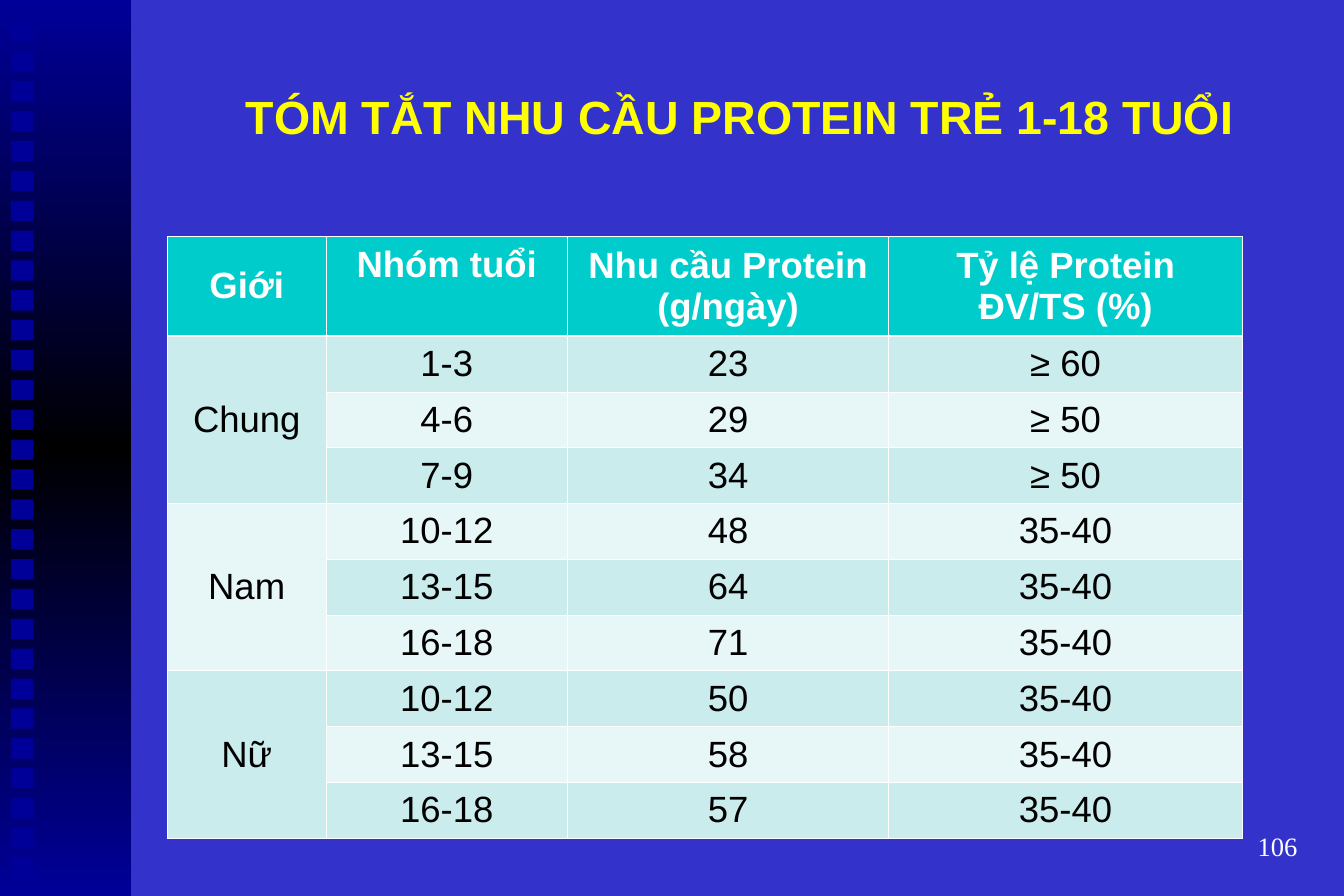
from copy import deepcopy

from lxml import etree
from pptx import Presentation, util as u
from pptx.dml.color import RGBColor
from pptx.enum import shapes, text
from pptx.oxml.ns import qn

PX = 9144
COLORS = {"bg": "3333CC", "navy": "000099", "black": "000000", "title": "FFFF00",
          "white": "FFFFFF", "head": "00CCCC", "odd": "CBECEC", "even": "E7F6F6"}
HEADERS = ["Giới", "Nhóm tuổi", "Nhu cầu Protein (g/ngày)", "Tỷ lệ Protein ĐV/TS (%)"]
GROUPS = [
    ("Chung", [("1-3", "23", "≥ 60"), ("4-6", "29", "≥ 50"), ("7-9", "34", "≥ 50")]),
    ("Nam", [("10-12", "48", "35-40"), ("13-15", "64", "35-40"), ("16-18", "71", "35-40")]),
    ("Nữ", [("10-12", "50", "35-40"), ("13-15", "58", "35-40"), ("16-18", "57", "35-40")]),
]


def px(n):
    """Turn px into EMU."""
    return u.Emu(round(n * PX))


def rgb(name):
    """Look up a colour by name."""
    return RGBColor.from_string(COLORS[name])


def write(tf, words, size, color, align, font="Arial", bold=False):
    """Write one styled paragraph into a text frame."""
    p = tf.paragraphs[0]
    p.text, p.alignment = words, align
    f = p.font
    f.name, f.size, f.bold = font, u.Pt(size), bold
    f.color.rgb = rgb(color)


def add_rect(s, x, y, w, h):
    """Add a plain navy rectangle."""
    sp = s.shapes.add_shape(shapes.MSO_SHAPE.RECTANGLE, px(x), px(y), px(w), px(h))
    sp.shadow.inherit = False
    sp.fill.solid()
    sp.fill.fore_color.rgb = rgb("navy")
    sp.line.fill.background()
    return sp


def add_sidebar(s, x, y, w, h):
    """Add the gradient band with its column of squares."""
    fill = add_rect(s, x, y, w, h).fill
    fill.gradient()
    fill.gradient_angle = 90
    stops = fill.gradient_stops
    last = stops[1]._gs
    last.addnext(deepcopy(last))
    for stop, pos, color in zip(fill.gradient_stops, (0, 0.5, 1), ("navy", "black", "navy")):
        stop.position, stop.color.rgb = pos, rgb(color)
    for i in range(29):
        add_rect(s, x + 9, y + 18 + 25 * i, 19, 17)


def add_label(s, x, y, w, h, words, size, color, align, **style):
    """Add a text box centred vertically in its box."""
    tf = s.shapes.add_textbox(px(x), px(y), px(w), px(h)).text_frame
    tf.word_wrap = True
    tf.vertical_anchor = text.MSO_ANCHOR.MIDDLE
    tf.margin_left = tf.margin_right = px(11)
    tf.margin_top = tf.margin_bottom = px(6)
    write(tf, words, size, color, align, **style)


def style_cell(cell, fill, widths):
    """Give a cell its white borders and its fill."""
    tcPr = cell._tc.get_or_add_tcPr()
    for side, width in zip("LRTB", widths):
        ln = etree.SubElement(tcPr, qn(f"a:ln{side}"), w=str(u.Pt(width)))
        solid = etree.SubElement(ln, qn("a:solidFill"))
        etree.SubElement(solid, qn("a:srgbClr"), val=COLORS["white"])
    cell.fill.solid()
    cell.fill.fore_color.rgb = rgb(fill)
    cell.vertical_anchor = text.MSO_ANCHOR.MIDDLE


def add_protein_table(s, x, y, w, h):
    """Add the protein table with one merged label per group."""
    rows = [(name if i == 0 else "", *row) for name, part in GROUPS for i, row in enumerate(part)]
    tbl = s.shapes.add_table(len(rows) + 1, len(HEADERS), px(x), px(y), px(w), px(h)).table
    for col, width in zip(tbl.columns, (133, 202, 269, w - 604)):
        col.width = px(width)
    head_h = 83
    for r, row in enumerate([HEADERS, *rows]):
        tbl.rows[r].height = px((h - head_h) / len(rows) if r else head_h)
        fill = ("even" if r % 2 == 0 else "odd") if r else "head"
        widths = (0.45, 0.45, 1.47 if r == 1 else 0.45, 0.45 if r else 1.47)
        for c, words in enumerate(row):
            cell = tbl.cell(r, c)
            style_cell(cell, fill, widths)
            if words:
                write(cell.text_frame, words, 22, "black" if r else "white",
                      text.PP_ALIGN.CENTER, bold=r == 0)
    tbl.cell(0, 1).vertical_anchor = text.MSO_ANCHOR.TOP
    tbl.cell(0, 1).margin_top = px(7)
    top = 1
    for _, part in GROUPS:
        tbl.cell(top, 0).merge(tbl.cell(top + len(part) - 1, 0))
        top += len(part)


def main():
    """Build and save the slide."""
    prs = Presentation()
    prs.slide_width, prs.slide_height = px(1125), px(750)
    s = prs.slides.add_slide(prs.slide_layouts[6])
    s.background.fill.solid()
    s.background.fill.fore_color.rgb = rgb("bg")
    add_sidebar(s, 0, 0, 110, 750)
    add_label(s, 141, 51, 956, 92, "TÓM TẮT NHU CẦU PROTEIN TRẺ 1-18 TUỔI", 28, "title",
              text.PP_ALIGN.CENTER, bold=True)
    add_label(s, 863, 683, 234, 50, "106", 16, "white", text.PP_ALIGN.RIGHT,
              font="Times New Roman")
    add_protein_table(s, 140, 198, 900, 503)
    prs.save("out.pptx")


if __name__ == "__main__":
    main()
